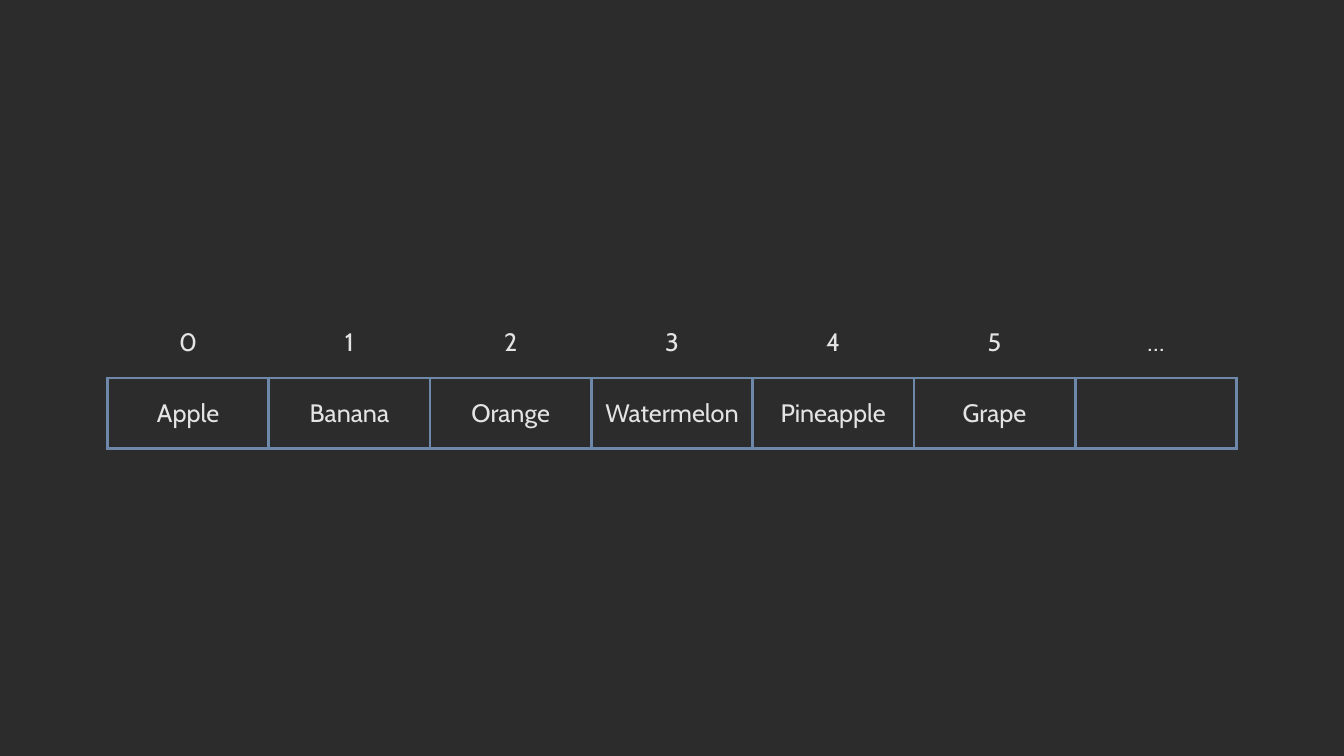
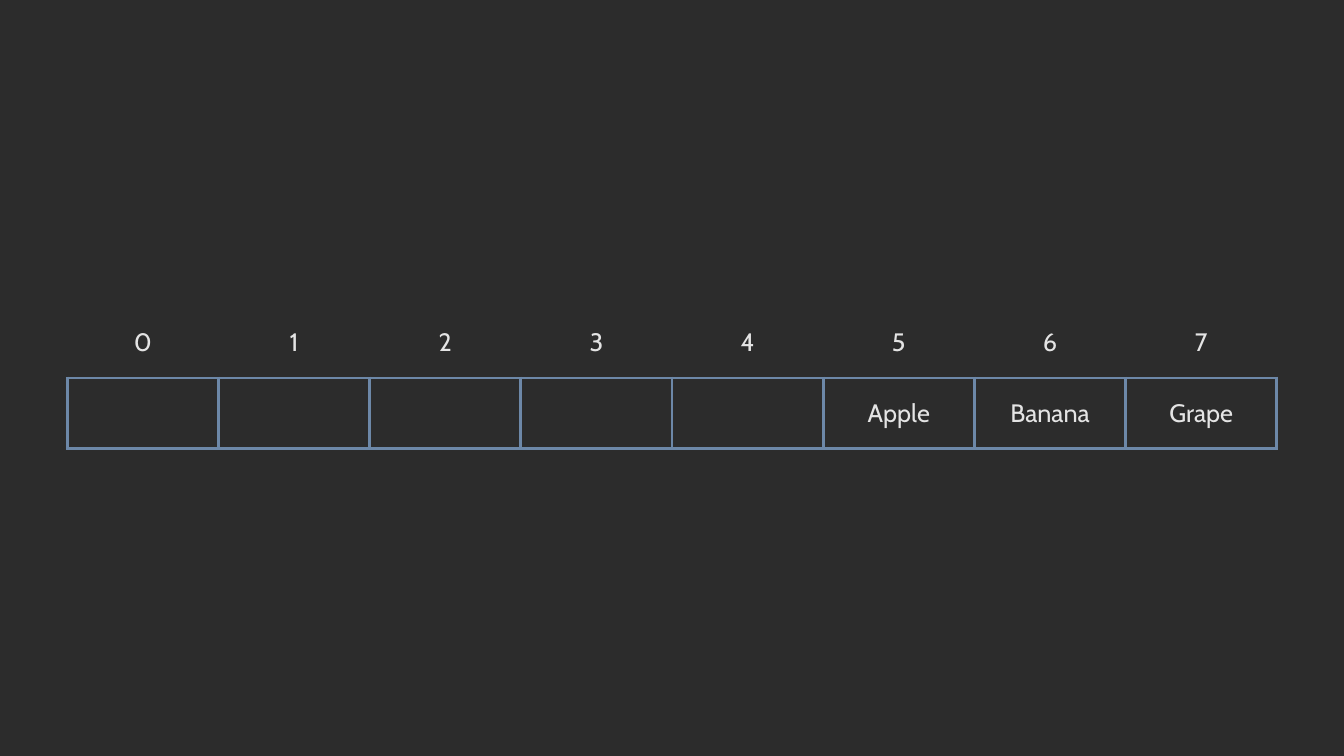
from lxml import etree
from pptx import Presentation
from pptx.dml.color import RGBColor
from pptx.enum.text import MSO_ANCHOR, PP_ALIGN
from pptx.oxml.ns import qn
from pptx.util import Pt

PX = 7620  # EMU; 120 px to the inch
PAGE_WIDTH, PAGE_HEIGHT = 1600, 900
ARRAY_TOP, ROW_HEIGHT = 366, 84
BLANK_LAYOUT = 6

BACKGROUND = RGBColor(0x2C, 0x2C, 0x2C)
TEXT_COLOR = RGBColor(0xE4, 0xE4, 0xE4)
BORDER_COLOR = RGBColor(0x6D, 0x88, 0xA8)
BORDER_WIDTH = Pt(2.25)
FONT = "Cabin"
CENTER = PP_ALIGN.CENTER
MIDDLE = MSO_ANCHOR.MIDDLE
SIDES = ("L", "R", "T", "B")


def write_text(cell, text, size=18, color=TEXT_COLOR, align=CENTER, anchor=MIDDLE):
    cell.vertical_anchor = anchor
    para = cell.text_frame.paragraphs[0]
    para.alignment = align
    if text:
        span = para.add_run()
        span.text = text
        span.font.name = FONT
        span.font.size = Pt(size)
        span.font.color.rgb = color


def set_borders(cell, visible_sides):
    """Draw the given sides and hide the others."""
    properties = cell._tc.get_or_add_tcPr()
    for position, side in enumerate(SIDES):
        line = etree.Element(qn(f"a:ln{side}"), w=str(BORDER_WIDTH))
        if side in visible_sides:
            fill = etree.SubElement(line, qn("a:solidFill"))
            etree.SubElement(fill, qn("a:srgbClr"), val=str(BORDER_COLOR))
        else:
            etree.SubElement(line, qn("a:noFill"))
        properties.insert(position, line)


def add_array(page, indexes, values, cell_width):
    """Add a centred row of boxed values with their indexes above."""
    width = cell_width * len(values)
    left = (PAGE_WIDTH - width) // 2
    table = page.shapes.add_table(
        2, len(values), left * PX, ARRAY_TOP * PX, width * PX, 2 * ROW_HEIGHT * PX
    ).table
    table.first_row = False
    table.horz_banding = False
    for row, (texts, sides) in enumerate(((indexes, "B"), (values, SIDES))):
        for column, text in enumerate(texts):
            cell = table.cell(row, column)
            cell.fill.background()
            set_borders(cell, sides)
            write_text(cell, text)


def add_page(deck):
    return deck.slides.add_slide(deck.slide_layouts[BLANK_LAYOUT])


def main():
    deck = Presentation()
    deck.slide_width = PAGE_WIDTH * PX
    deck.slide_height = PAGE_HEIGHT * PX
    master_fill = deck.slide_master.background.fill
    master_fill.solid()
    master_fill.fore_color.rgb = BACKGROUND

    fruits = ["Apple", "Banana", "Orange", "Watermelon", "Pineapple", "Grape", ""]
    add_array(add_page(deck), [*"012345", "…"], fruits, cell_width=192)

    hashed_fruits = [""] * 5 + ["Apple", "Banana", "Grape"]
    add_array(add_page(deck), [*"01234567"], hashed_fruits, cell_width=180)

    deck.save("out.pptx")


if __name__ == "__main__":
    main()
